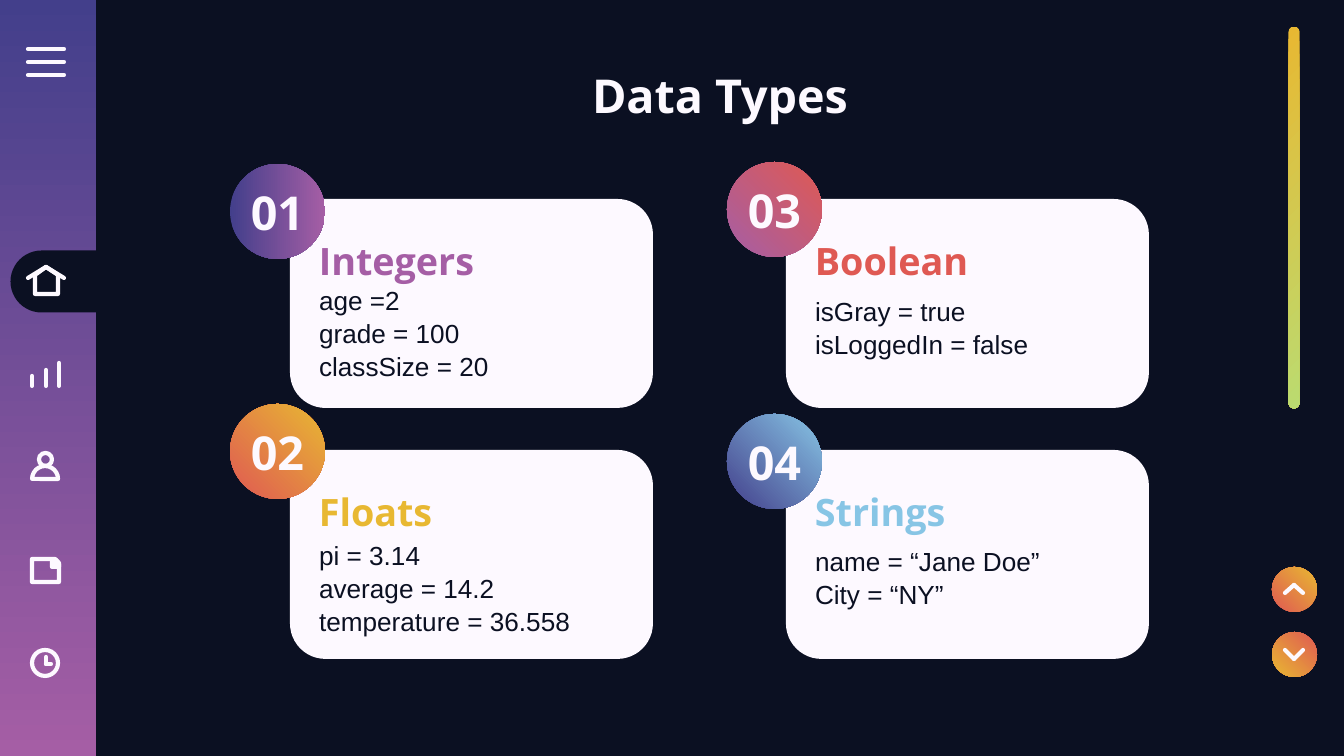
from lxml import etree
from pptx import Presentation
from pptx.dml.color import RGBColor
from pptx.enum.shapes import MSO_CONNECTOR, MSO_SHAPE
from pptx.enum.text import MSO_ANCHOR, MSO_AUTO_SIZE, PP_ALIGN
from pptx.oxml.ns import qn
from pptx.util import Emu, Pt

RECT = MSO_SHAPE.RECTANGLE
ROUND = MSO_SHAPE.ROUNDED_RECTANGLE
TAB = MSO_SHAPE.ROUND_2_SAME_RECTANGLE
OVAL = MSO_SHAPE.OVAL
PIE = MSO_SHAPE.PIE
SNIP = MSO_SHAPE.SNIP_1_RECTANGLE
STRAIGHT = MSO_CONNECTOR.STRAIGHT
LEFT, CENTER = PP_ALIGN.LEFT, PP_ALIGN.CENTER
TOP, MIDDLE = MSO_ANCHOR.TOP, MSO_ANCHOR.MIDDLE
FIXED = MSO_AUTO_SIZE.NONE

SCALE = 914400 / 134.4
NIGHT, WHITE = "0B1022", "FDF9FF"
INDIGO, PURPLE, RED = "433F8B", "A55EA5", "DF5953"
GOLD, GREEN, SKY = "E8B832", "BBDB70", "87C5E5"


def px(*values):
    return [Emu(round(value * SCALE)) for value in values]


def rgb(color):
    return RGBColor.from_string(color)


class Deck:
    head, body = "Open Sans", "Arial"
    pen, inset = Pt(2.25), 13

    def __init__(self):
        self.file = Presentation()
        self.file.slide_width, self.file.slide_height = px(1344, 756)
        self.slide = self.file.slides.add_slide(self.file.slide_layouts[4])
        self.slide.background.fill.solid()
        self.slide.background.fill.fore_color.rgb = rgb(NIGHT)
        self.base = self.shapes = self.slide.shapes

    def group(self):
        self.shapes = self.base.add_group_shape().shapes

    def ungroup(self):
        self.shapes = self.base

    def stroke(self, item):
        item.line.color.rgb = rgb(WHITE)
        item.line.width = self.pen
        edge = item.element.find(".//" + qn("a:ln"))
        edge.set("cap", "rnd")
        etree.SubElement(edge, qn("a:round"))

    def paint(self, item, fill, edge):
        item.shadow.inherit = False
        if fill:
            item.fill.solid()
            item.fill.fore_color.rgb = rgb(fill)
        else:
            item.fill.background()
        if edge:
            self.stroke(item)
        else:
            item.line.fill.background()

    def shape(self, kind, box, fill=None, edge=False, adjust=(), turn=0):
        item = self.shapes.add_shape(kind, *px(*box))
        for index, value in enumerate(adjust):
            item.adjustments[index] = value
        item.rotation = turn
        self.paint(item, fill, edge)
        return item

    def blend(self, kind, box, colors, angle=45, adjust=(), turn=0):
        item = self.shape(kind, box, adjust=adjust, turn=turn)
        item.fill.gradient()
        item.fill.gradient_angle = angle
        for stop, color in zip(item.fill.gradient_stops, colors):
            stop.color.rgb = rgb(color)

    def line(self, *ends):
        item = self.shapes.add_connector(STRAIGHT, *px(*ends))
        self.stroke(item)
        etree.SubElement(item.element.spPr, qn("a:effectLst"))

    def outline(self, points, fill=None):
        shape = self.shapes.build_freeform(*points[0], scale=SCALE)
        shape.add_line_segments(points[1:], close=True)
        self.paint(shape.convert_to_shape(), fill, True)

    def letter(self, item, lines, size, color, font, bold, align, anchor):
        frame = item.text_frame
        frame.word_wrap = True
        frame.auto_size = FIXED
        frame.vertical_anchor = anchor
        frame.margin_left, frame.margin_top = px(self.inset, self.inset)
        frame.margin_right, frame.margin_bottom = px(self.inset, self.inset)
        frame.text = "\n".join(lines)
        for para in frame.paragraphs:
            para.alignment = align
            para.space_before = Pt(0)
            para.font.size = Pt(size)
            para.font.name = font
            para.font.bold = bold
            para.font.color.rgb = rgb(color)

    def label(self, text, box, size, color, align=LEFT):
        item = self.shapes.add_textbox(*px(*box))
        self.letter(item, [text], size, color, self.head, True, align, MIDDLE)

    def place(self, index, box):
        item = self.slide.placeholders[index]
        item.left, item.top, item.width, item.height = px(*box)
        item.element.getparent().append(item.element)
        return item

    def title(self, text, box):
        item = self.place(0, box)
        self.letter(item, [text], 25, WHITE, self.head, True, CENTER, TOP)

    def items(self, index, lines, box):
        item = self.place(index, box)
        self.letter(item, lines, 14, NIGHT, self.body, False, LEFT, MIDDLE)
        for para in item.text_frame.paragraphs:
            para.line_spacing = 1.05
            props = para._p.get_or_add_pPr()
            props.set("marL", "0")
            props.set("indent", "0")
            none = etree.Element(qn("a:buNone"))
            props.find(qn("a:spcBef")).addnext(none)

    def card(self, index, data):
        name, lines, color, left, top, badge, colors, angle, box = data
        self.shape(ROUND, (left, top, 363, 209), WHITE, adjust=[0.17])
        x, y = badge
        self.blend(OVAL, (x, y, 95, 95), colors, angle)
        self.label(f"{index:02}", (x, y + 9, 95, 77), 25, WHITE, CENTER)
        self.label(name, (left + 16, top + 28, 271, 67), 20.2, color)
        self.items(index, lines, (left + 16, box[0], 331, box[1]))

    def icons(self):
        self.shape(TAB, (27, 234, 62, 95), NIGHT, adjust=[0.5, 0], turn=270)
        self.group()
        for y in (49, 62, 75):
            self.line(28, y, 64, y)
        self.group()
        for x in (28, 64):
            self.line(x, 278, 46, 267)
        self.outline([(35, 275), (35, 294), (58, 294), (58, 275), (46, 267)])
        self.group()
        for x, y in ((32, 376), (46, 370), (59, 363)):
            self.line(x, y, x, 386)
        self.group()
        self.shape(OVAL, (39, 453, 13, 13), edge=True)
        self.shape(PIE, (32, 466, 26, 26), edge=True,
                   adjust=[54.33, 162], turn=90)
        self.group()
        self.shape(SNIP, (32, 559, 27, 23), edge=True, adjust=[0.17])
        self.outline([(52, 560), (56, 560), (59, 564), (59, 567), (52, 567)],
                     WHITE)
        self.group()
        self.shape(OVAL, (32, 650, 26, 26), edge=True)
        self.line(46, 657, 46, 664)
        self.line(51, 664, 46, 664)
        self.ungroup()

    def arrow(self, top, tip, end, turn):
        self.blend(OVAL, (1272, top, 45, 45), (RED, GOLD), turn=turn)
        self.group()
        for x in (1285, 1303):
            self.line(1294, tip, x, end)
        self.ungroup()


CARDS = [
    ("Integers", ["age =2", "grade = 100", "classSize = 20"], PURPLE,
     290, 199, (230, 164), (INDIGO, PURPLE), 0, (262, 140)),
    ("Floats", ["pi = 3.14", "average = 14.2", "temperature = 36.558"], GOLD,
     290, 450, (230, 404), (RED, GOLD), 45, (524, 126)),
    ("Boolean", ["isGray = true", "isLoggedIn = false"], RED,
     786, 199, (727, 162), (PURPLE, RED), 45, (274, 106)),
    ("Strings", ["name = “Jane Doe”", "City = “NY”"], SKY,
     786, 450, (727, 414), (INDIGO, SKY), 45, (524, 106)),
]


def main():
    deck = Deck()
    deck.blend(RECT, (0, 0, 96, 756), (INDIGO, PURPLE), 270)
    deck.blend(ROUND, (1103, 212, 382, 11), (GOLD, GREEN),
               adjust=[0.5], turn=90)
    for index, data in enumerate(CARDS, 1):
        deck.card(index, data)
    deck.icons()
    deck.title("Data Types", (96, 54, 1248, 84))
    deck.arrow(632, 659, 650, 180)
    deck.arrow(567, 585, 593, 0)
    deck.file.save("out.pptx")


if __name__ == "__main__":
    main()
